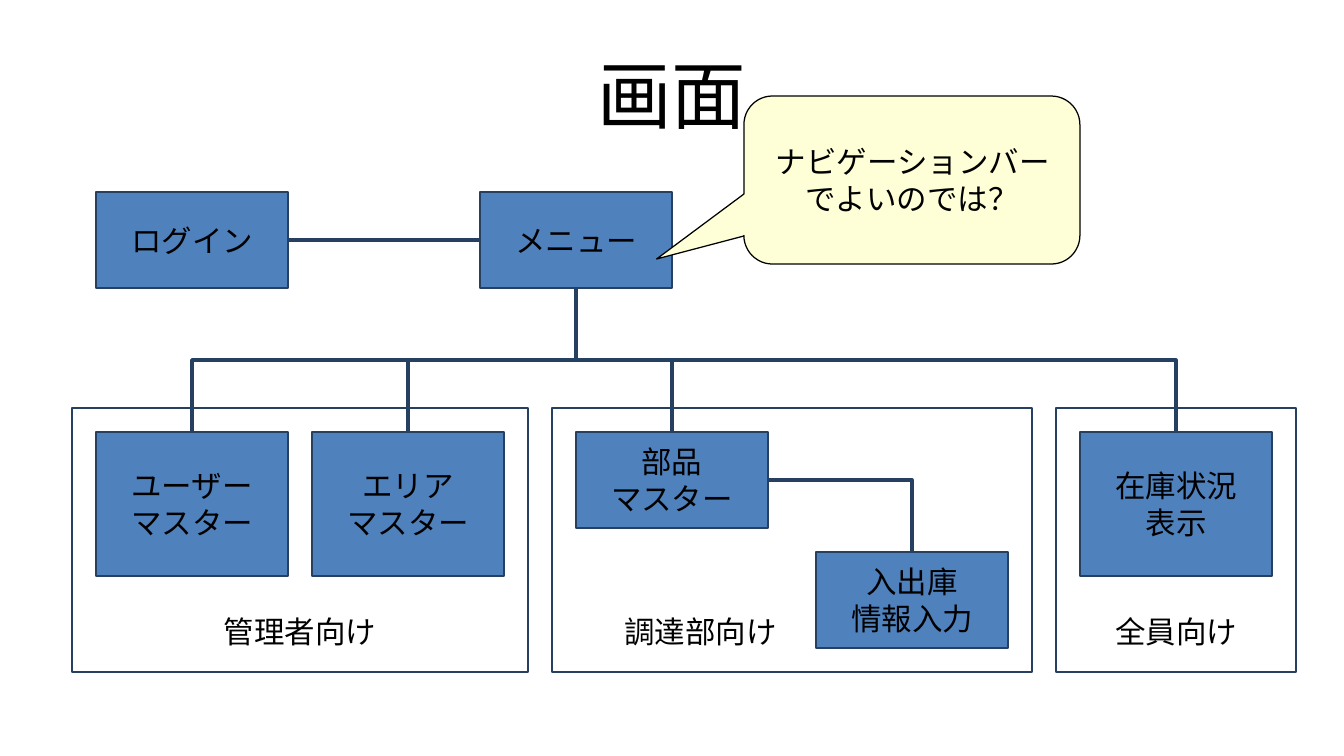
from lxml import etree
from pptx import Presentation
from pptx.dml.color import RGBColor
from pptx.enum.shapes import MSO_CONNECTOR, MSO_SHAPE
from pptx.enum.text import MSO_ANCHOR, MSO_AUTO_SIZE, PP_ALIGN
from pptx.oxml.ns import qn
from pptx.util import Pt

RECTANGLE = MSO_SHAPE.RECTANGLE
CALLOUT = MSO_SHAPE.ROUNDED_RECTANGULAR_CALLOUT
STRAIGHT, ELBOW = MSO_CONNECTOR.STRAIGHT, MSO_CONNECTOR.ELBOW
MIDDLE, BOTTOM_ANCHOR = MSO_ANCHOR.MIDDLE, MSO_ANCHOR.BOTTOM
CENTER = PP_ALIGN.CENTER
TOP, LEFT, BOTTOM, RIGHT = range(4)

COLORS = {
    "screen": "4F81BD",
    "line": "254061",
    "note": "FFFFD7",
    "text": "000000",
}
FONT = "Arial"
GRID = 14.17  # points
TITLE_ONLY = 5


def grid(steps):
    """Turn a number of grid steps into a length."""
    return Pt(GRID * steps)


def color(name):
    return RGBColor.from_string(COLORS[name])


def write_text(frame, text, size=18, anchor=MIDDLE, insets=(7.2, 3.6, 7.2, 3.6)):
    """Fill a text frame, one paragraph a line; insets run left, top, right, bottom."""
    frame.word_wrap = True
    frame.auto_size = MSO_AUTO_SIZE.NONE
    frame.vertical_anchor = anchor
    (frame.margin_left, frame.margin_top,
     frame.margin_right, frame.margin_bottom) = map(Pt, insets)
    frame.text = text
    for paragraph in frame.paragraphs:
        paragraph.alignment = CENTER
        paragraph.font.size = Pt(size)
        paragraph.font.name = FONT
        paragraph.font.color.rgb = color("text")


class ScreenMap:
    """Draws a map of screens on one slide, placed in grid steps."""

    def __init__(self, slide):
        self.shapes = slide.shapes

    def title(self, text):
        heading = self.shapes.title
        heading.left, heading.top = Pt(39.6), Pt(18)
        heading.width, heading.height = Pt(714.24), Pt(74.16)
        write_text(heading.text_frame, text, size=44, insets=(0, 0, 0, 0))

    def box(self, text, place, fill=None, line="line", kind=RECTANGLE, **text_format):
        box = self.shapes.add_shape(kind, *map(grid, place))
        box.shadow.inherit = False
        if fill:
            box.fill.solid()
            box.fill.fore_color.rgb = color(fill)
        else:
            box.fill.background()
        box.line.color.rgb = color(line)
        box.line.width = Pt(0)
        write_text(box.text_frame, text, **text_format)
        return box

    def screen(self, text, left, top, height):
        return self.box(text, (left, top, 8, height), fill="screen")

    def audience(self, text, left, width, right_inset=7.2):
        self.box(text, (left, 17, width, 11), anchor=BOTTOM_ANCHOR,
                 insets=(7.2, 3.6, right_inset, 13))

    def note(self, text, place, tail):
        note = self.box(text, place, fill="note", line="text", kind=CALLOUT)
        for index, value in enumerate(tail):
            note.adjustments[index] = value

    def link(self, start, start_side, end, end_side, kind=STRAIGHT):
        link = self.shapes.add_connector(kind, 0, 0, 0, 0)
        link.begin_connect(start, start_side)
        link.end_connect(end, end_side)
        link.line.color.rgb = color("line")
        link.line.width = Pt(0)
        etree.SubElement(link._element.spPr, qn("a:effectLst"))
        return link

    def branch(self, parent, child):
        """Join bottom to top: a sideways elbow turned by a quarter."""
        link = self.link(parent, BOTTOM, child, TOP, ELBOW)
        run, drop = link.end_x - link.begin_x, link.end_y - link.begin_y
        center_x = (link.begin_x + link.end_x) // 2
        center_y = (link.begin_y + link.end_y) // 2
        link.begin_x, link.begin_y = center_x - drop // 2, center_y + run // 2
        link.end_x, link.end_y = center_x + drop // 2, center_y - run // 2
        link.rotation = 90

    def corner(self, start, end):
        """Join right side to top with a single bend."""
        link = self.link(start, RIGHT, end, TOP, ELBOW)
        link._element.spPr.find(qn("a:prstGeom")).set("prst", "bentConnector2")


def main():
    deck = Presentation()
    deck.slide_width, deck.slide_height = grid(56), grid(31.5)
    screens = ScreenMap(deck.slides.add_slide(deck.slide_layouts[TITLE_ONLY]))
    screens.title("画面")

    login = screens.screen("ログイン", 4, 8, 4)
    menu = screens.screen("メニュー", 20, 8, 4)
    parts = screens.screen("部品\nマスター", 24, 18, 4)
    area = screens.screen("エリア\nマスター", 13, 18, 6)
    user = screens.screen("ユーザー\nマスター", 4, 18, 6)
    stock_entry = screens.screen("入出庫\n情報入力", 34, 23, 4)
    stock_status = screens.screen("在庫状況\n表示", 45, 18, 6)

    screens.link(login, RIGHT, menu, LEFT)
    for child in (user, area, parts, stock_status):
        screens.branch(menu, child)
    screens.corner(parts, stock_entry)

    screens.audience("管理者向け", 3, 19)
    screens.audience("調達部向け", 23, 20, right_inset=115.2)
    screens.audience("全員向け", 44, 10)
    screens.note("ナビゲーションバーでよいのでは？", (31, 4, 14, 7),
                 tail=(-0.76, 0.47, 0.17))

    deck.save("out.pptx")


if __name__ == "__main__":
    main()
